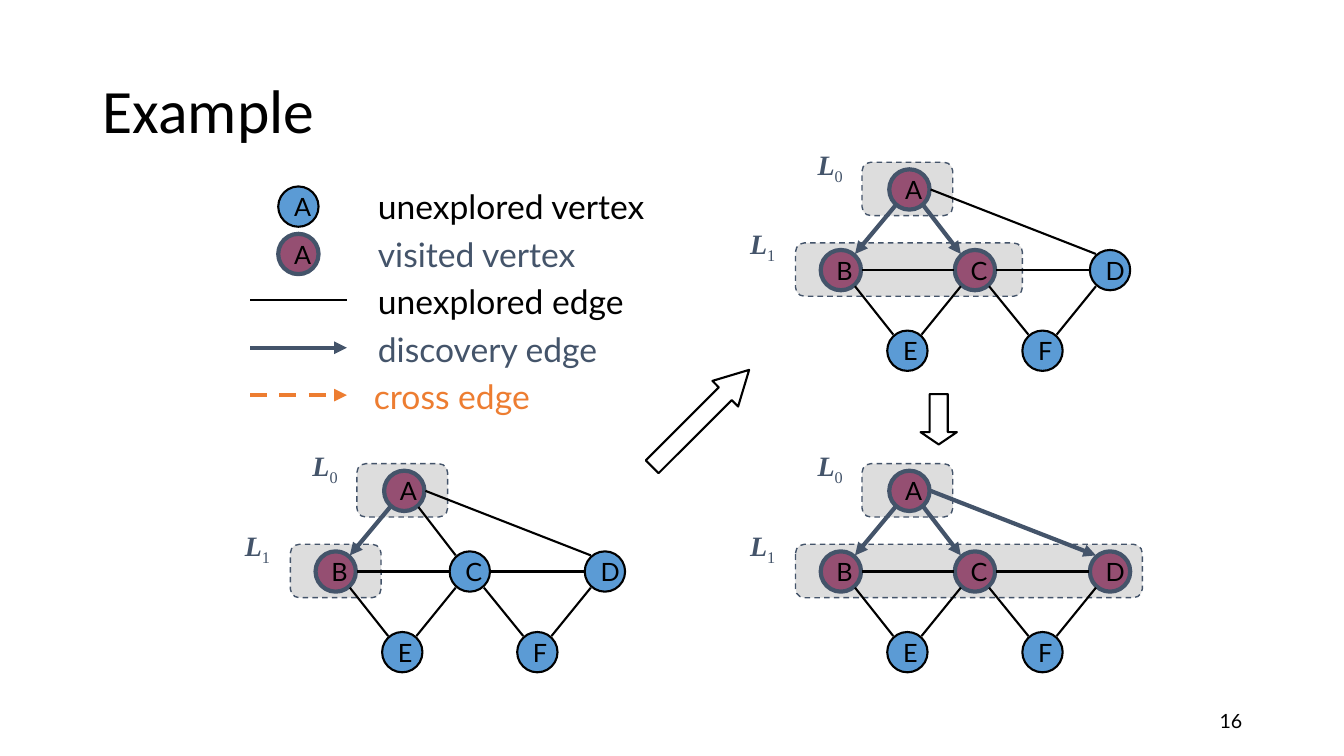
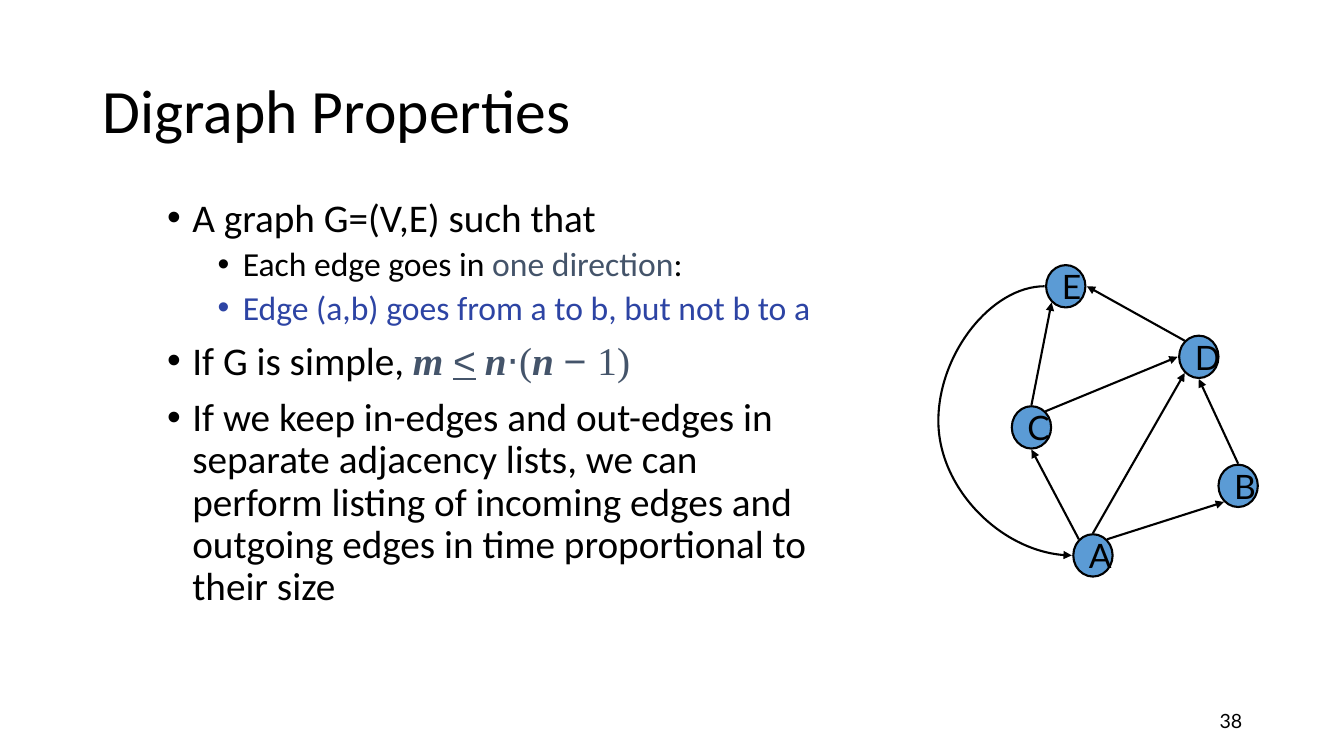
from lxml import etree
from pptx import Presentation
from pptx.dml.color import RGBColor
from pptx.enum.dml import MSO_LINE
from pptx.enum.shapes import MSO_CONNECTOR as CONN, MSO_SHAPE as SHAPE
from pptx.enum.text import MSO_ANCHOR as ANCHOR, MSO_AUTO_SIZE as AUTO, PP_ALIGN as ALIGN
from pptx.oxml.ns import qn
from pptx.util import Inches, Pt

# Shared colours and fonts
BLACK = RGBColor(0x00, 0x00, 0x00)
SLATE = RGBColor(0x44, 0x54, 0x6A)
BLUE = RGBColor(0x5B, 0x9B, 0xD5)
PLUM = RGBColor(0x95, 0x4F, 0x72)
GREY = RGBColor(0xDD, 0xDD, 0xDD)
ORANGE = RGBColor(0xED, 0x7D, 0x31)
INDIGO = RGBColor(0x2D, 0x44, 0xA4)
CALIBRI, LATO, TIMES, ARIAL = "Calibri", "Lato", "Times New Roman", "Arial"

# Text formats
TITLE = dict(size=Pt(44), name=CALIBRI, color=BLACK)
NUMBER = dict(size=Pt(14), name=LATO, color=BLACK)
LEVEL = dict(size=Pt(20), name=TIMES, color=SLATE)
BOLD_ITALIC = dict(bold=True, italic=True)

# Line formats: colour, points, dashed, arrow
PLAIN = (BLACK, 1.5, False, False)
ARROW = (BLACK, 1.5, False, True)
DISCOVERY = (SLATE, 3, False, True)
CROSS = (ORANGE, 3, True, True)

# Where edges meet a vertex, from its centre
PORTS = {
    "t": (0, -0.22), "b": (0, 0.22), "l": (-0.21, 0), "r": (0.21, 0),
    "tl": (-0.14, -0.16), "tr": (0.14, -0.16),
    "bl": (-0.14, 0.16), "br": (0.14, 0.16),
}


def add_run(p, text, color=None, **fmt):
    r = p.add_run()
    r.text = text
    for key, value in fmt.items():
        setattr(r.font, key, value)
    if color is not None:
        r.font.color.rgb = color
    return r


def add_text(s, box, text, fmt, wrap=True, grow=False, anchor=ANCHOR.TOP):
    tf = s.shapes.add_textbox(*map(Inches, box)).text_frame
    tf.word_wrap = wrap
    tf.vertical_anchor = anchor
    if grow:
        tf.auto_size = AUTO.SHAPE_TO_FIT_TEXT
    p = tf.paragraphs[0]
    add_run(p, text, **fmt)
    return p


def style_line(line, color, points, dashed=False):
    line.color.rgb = color
    line.width = Pt(points)
    if dashed:
        line.dash_style = MSO_LINE.DASH


def add_shape(s, kind, box, fill, *line):
    sp = s.shapes.add_shape(kind, *map(Inches, box))
    sp.shadow.inherit = False
    if fill is None:
        sp.fill.background()
    else:
        sp.fill.solid()
        sp.fill.fore_color.rgb = fill
    style_line(sp.line, *line)
    return sp


def add_line(s, start, end, style, kind=CONN.STRAIGHT):
    color, points, dashed, arrow = style
    cx = s.shapes.add_connector(kind, *map(Inches, (*start, *end)))
    style_line(cx.line, color, points, dashed)
    if arrow:
        etree.SubElement(cx.line._get_or_add_ln(), qn("a:tailEnd"), type="triangle")
    etree.SubElement(cx._element.spPr, qn("a:effectLst"))
    return cx


def add_vertex(s, center, label, visited=False, size=(0.4, 0.4), points=18):
    (x, y), (w, h) = center, size
    fill, line = (PLUM, (SLATE, 3)) if visited else (BLUE, (BLACK, 1.5))
    sp = add_shape(s, SHAPE.OVAL, (x - w / 2, y - h / 2, w, h), fill, *line)
    tf = sp.text_frame
    tf.word_wrap = False
    tf.vertical_anchor = ANCHOR.MIDDLE
    p = tf.paragraphs[0]
    p.alignment = ALIGN.LEFT
    add_run(p, label, size=Pt(points), name=LATO, color=BLACK)


def port(center, side):
    return tuple(c + d for c, d in zip(center, PORTS[side]))


def new_slide(prs, title, number):
    s = prs.slides.add_slide(prs.slide_layouts[6])
    p = add_text(s, (0.92, 0.4, 11.5, 1.45), title, TITLE, anchor=ANCHOR.MIDDLE)
    p.line_spacing = 0.9
    p = add_text(s, (9.42, 6.95, 3, 0.4), number, NUMBER, anchor=ANCHOR.MIDDLE)
    p.alignment = ALIGN.RIGHT
    return s


# Breadth-first search example
SEARCH_VERTICES = {"A": (1.68, 0.47), "B": (1, 1.27), "C": (2.33, 1.27),
                   "D": (3.67, 1.27), "E": (1.66, 2.07), "F": (3, 2.07)}
SEARCH_EDGES = [("A", "bl", "B", "tr"), ("A", "br", "C", "tl"),
                ("A", "r", "D", "tl"), ("B", "r", "C", "l"),
                ("C", "r", "D", "l"), ("E", "tl", "B", "br"),
                ("E", "tr", "C", "bl"), ("C", "br", "F", "tl"),
                ("F", "tr", "D", "bl")]
LEGEND = [("unexplored vertex", BLACK, 3.65, 2.85),
          ("visited vertex", SLATE, 3.65, 2.16),
          ("unexplored edge", BLACK, 3.65, 2.66),
          ("discovery edge", SLATE, 3.65, 2.4),
          ("cross edge", ORANGE, 3.61, 1.78)]


def add_legend(s, x, y, pitch=0.47):
    for i, (text, color, left, width) in enumerate(LEGEND):
        fmt = dict(size=Pt(24), name=LATO, color=color)
        add_text(s, (left, y + i * pitch, width, 0.5), text, fmt, wrap=False, grow=True)
    for i in range(2):
        add_vertex(s, (x + 0.48, y + 0.25 + i * pitch), "A", visited=i == 1)
    for i, style in enumerate((PLAIN, DISCOVERY, CROSS), 2):
        line_y = y + 0.24 + i * pitch
        add_line(s, (x, line_y), (x + 0.96, line_y), style)


def add_search_step(s, x, y, visited, level_width):
    """One state of the search; every vertex but A in visited was found from A."""
    # Level boxes and their names
    levels = [(1.21, 0.2, 0.9, 0.67, 0), (0.55, 1, level_width, 0, 0.79)]
    for i, (left, top, width, name_x, name_y) in enumerate(levels):
        add_shape(s, SHAPE.ROUNDED_RECTANGLE, (x + left, y + top, width, 0.53),
                  GREY, SLATE, 1, True)
        p = add_text(s, (x + name_x, y + name_y, 0.51, 0.43), "L",
                     LEVEL | BOLD_ITALIC, grow=True)
        add_run(p, str(i), **LEVEL).font._element.set("baseline", "-25000")
    # Vertices and edges
    centers = {k: (x + dx, y + dy) for k, (dx, dy) in SEARCH_VERTICES.items()}
    for label, center in centers.items():
        add_vertex(s, center, label, label in visited)
    for a, side_a, b, side_b in SEARCH_EDGES:
        style = DISCOVERY if a == "A" and b in visited else PLAIN
        add_line(s, port(centers[a], side_a), port(centers[b], side_b), style)


def add_block_arrow(s, box, angle, head):
    sp = add_shape(s, SHAPE.RIGHT_ARROW, box, None, BLACK, 1.5)
    sp.rotation = angle
    sp.adjustments[1] = head


def example_slide(prs):
    s = new_slide(prs, "Example", "16")
    add_legend(s, 2.48, 1.8)
    for x, y, visited, level_width in ((2.33, 4.4, "AB", 0.9),
                                       (7.34, 1.41, "ABC", 2.25),
                                       (7.34, 4.4, "ABCD", 3.44)):
        add_search_step(s, x, y, visited, level_width)
    add_block_arrow(s, (6.27, 3.97, 1.36, 0.36), 315, 0.93)
    add_block_arrow(s, (9.06, 3.98, 0.5, 0.36), 90, 0.34)


# Digraph properties: level, then runs of text and format
MATH = dict(name=TIMES, color=SLATE)
MATH_VAR = MATH | BOLD_ITALIC
BODY = [
    (0, [("A graph G=(V,E) such that", {})]),
    (1, [("Each edge goes in ", {}), ("one direction", dict(color=SLATE)), (":", {})]),
    (1, [("Edge (a,b) goes from a to b, but not b to a", dict(color=INDIGO))]),
    (0, [("If G is simple, ", {}), ("m ", MATH_VAR),
         ("<", dict(name=ARIAL, color=SLATE, underline=True)),
         (" ", dict(color=SLATE)), ("n", MATH_VAR), ("⋅", dict(color=SLATE)),
         ("(", MATH), ("n ", MATH_VAR), ("− ", dict(name=ARIAL, color=SLATE)),
         ("1)", MATH)]),
    (0, [("If we keep in-edges and out-edges in separate adjacency lists, we can "
          "perform listing of incoming edges and outgoing edges in time "
          "proportional to their size", {})]),
]
DIGRAPH_VERTICES = {"A": (1.53, 2.88), "B": (2.97, 2.19), "C": (0.92, 1.61),
                    "D": (2.58, 0.91), "E": (1.26, 0.21)}
DIGRAPH_EDGES = [("A", "tl", "C", "b"), ("A", "tr", "B", "bl"),
                 ("C", "t", "E", "bl"), ("D", "tl", "E", "r"),
                 ("B", "t", "D", "b"), ("A", "t", "D", "bl"),
                 ("C", "tr", "D", "l")]


def add_bullets(s, box):
    tf = s.shapes.add_textbox(*map(Inches, box)).text_frame
    tf.word_wrap = True
    for i, (level, runs) in enumerate(BODY):
        p = tf.add_paragraph() if i else tf.paragraphs[0]
        pPr = p._p.get_or_add_pPr()
        pPr.set("marL", str(Inches(0.25 + 0.5 * level)))
        pPr.set("indent", str(Inches(-0.25)))
        etree.SubElement(pPr, qn("a:buFont"), typeface=ARIAL)
        etree.SubElement(pPr, qn("a:buChar"), char="•")
        p.level = level
        p.line_spacing = 0.9
        p.space_before = Pt((5 if level else 10) if i else 0)
        base = dict(size=Pt(24 if level else 28), name=CALIBRI, color=BLACK)
        for text, fmt in runs:
            add_run(p, text, **(base | fmt))


def add_digraph(s, x, y):
    centers = {k: (x + dx, y + dy) for k, (dx, dy) in DIGRAPH_VERTICES.items()}
    for label, center in centers.items():
        add_vertex(s, center, label, size=(0.39, 0.42), points=24)
    for a, side_a, b, side_b in DIGRAPH_EDGES:
        add_line(s, port(centers[a], side_a), port(centers[b], side_b), ARROW)
    # Curved edge from E round the left to A: a half turn, with the arrow at its start
    cx = add_line(s, port(centers["E"], "l"), port(centers["A"], "l"), PLAIN, CONN.CURVE)
    spPr = cx._element.spPr
    spPr.find(qn("a:xfrm")).set("rot", str(180 * 60000))
    geom = spPr.find(qn("a:prstGeom"))
    guides = geom.find(qn("a:avLst"))
    if guides is None:
        guides = etree.SubElement(geom, qn("a:avLst"))
    etree.SubElement(guides, qn("a:gd"), name="adj1", fmla="val 490000")
    etree.SubElement(cx.line._get_or_add_ln(), qn("a:headEnd"), type="triangle")


def digraph_slide(prs):
    s = new_slide(prs, "Digraph Properties", "38")
    add_bullets(s, (1.56, 1.92, 6.83, 4.5))
    add_digraph(s, 9.31, 2.63)


def main():
    prs = Presentation()
    prs.slide_width, prs.slide_height = Inches(13.33), Inches(7.5)
    example_slide(prs)
    digraph_slide(prs)
    prs.save("out.pptx")


if __name__ == "__main__":
    main()
